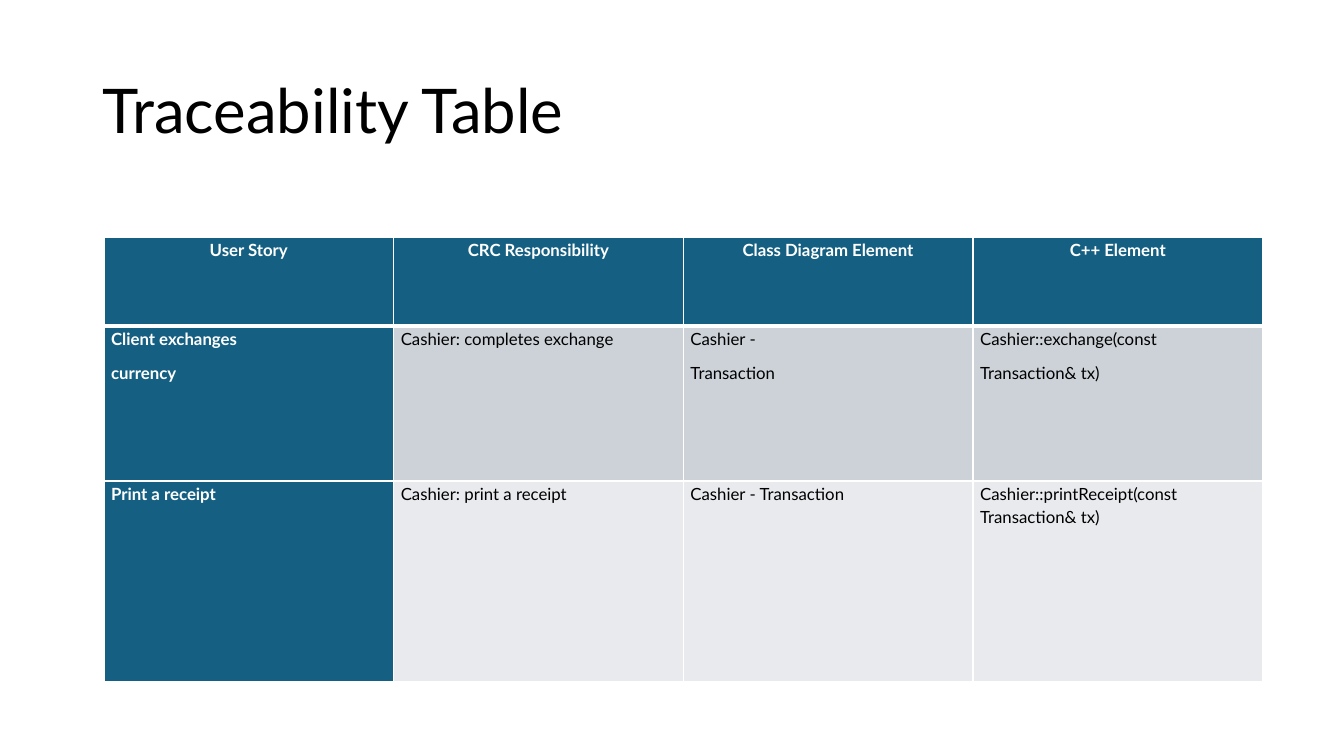
import pptx
import pptx.dml.color
import pptx.enum.text
import pptx.oxml
import pptx.oxml.ns
import pptx.util

Cm = pptx.util.Cm
Pt = pptx.util.Pt
ALIGN = pptx.enum.text.PP_ALIGN

FONT = "Lato"
WHITE = "FFFFFF"
BLACK = "000000"
TEAL = "156082"
BODY_FILLS = ["CCD2D8", "E8EAED"]
COLUMN_WIDTH = 7.3
ROW_HEIGHTS = [2.24, 3.91, 5.05]
ROWS = [
    ["User Story", "CRC Responsibility", "Class Diagram Element", "C++ Element"],
    [
        "Client exchanges\ncurrency",
        "Cashier: completes exchange",
        "Cashier -\nTransaction",
        "Cashier::exchange(const\nTransaction& tx)",
    ],
    [
        "Print a receipt",
        "Cashier: print a receipt",
        "Cashier - Transaction",
        "Cashier::printReceipt(const Transaction& tx)",
    ],
]


def colour(value):
    return pptx.dml.color.RGBColor.from_string(value)


def style_paragraph(para, size, value, bold=False):
    para.font.name = FONT
    para.font.size = Pt(size)
    para.font.bold = bold
    para.font.color.rgb = colour(value)


def add_title(page, text):
    box = page.shapes.add_textbox(Cm(2.34), Cm(1.02), Cm(29.21), Cm(3.68))
    frame = box.text_frame
    frame.word_wrap = True
    frame.vertical_anchor = pptx.enum.text.MSO_ANCHOR.MIDDLE
    frame.text = text
    para = frame.paragraphs[0]
    para.line_spacing = 0.9
    style_paragraph(para, 44, BLACK)


def set_borders(cell, top, bottom):
    properties = cell._tc.get_or_add_tcPr()
    namespace = pptx.oxml.ns.nsdecls("a")
    for side, width in {"L": 1, "R": 1, "T": top, "B": bottom}.items():
        properties.append(pptx.oxml.parse_xml(
            f'<a:ln{side} {namespace} w="{Pt(width)}"><a:solidFill>'
            f'<a:srgbClr val="{WHITE}"/></a:solidFill></a:ln{side}>'
        ))


def fill_cell(cell, text, row, column):
    is_header = row == 0
    is_heading = is_header or column == 0
    set_borders(cell, top=3 if row == 1 else 1, bottom=3 if is_header else 1)
    cell.fill.solid()
    cell.fill.fore_color.rgb = colour(TEAL if is_heading else BODY_FILLS[row - 1])
    cell.margin_left = cell.margin_right = Cm(0.18)
    cell.margin_top = cell.margin_bottom = Cm(0)
    cell.text = text
    for para in cell.text_frame.paragraphs:
        para.alignment = ALIGN.CENTER if is_header else ALIGN.LEFT
        para.line_spacing = 1.15
        para.space_after = Pt(8)
        style_paragraph(para, 12, WHITE if is_heading else BLACK, is_heading)


def add_traceability_table(page):
    column_count = len(ROWS[0])
    frame = page.shapes.add_table(
        len(ROWS), column_count, Cm(2.62), Cm(5.97),
        Cm(COLUMN_WIDTH * column_count), Cm(sum(ROW_HEIGHTS)),
    )
    table = frame.table
    table.first_col = True
    for column in table.columns:
        column.width = Cm(COLUMN_WIDTH)
    for row, (height, texts) in enumerate(zip(ROW_HEIGHTS, ROWS)):
        table.rows[row].height = Cm(height)
        for column, text in enumerate(texts):
            fill_cell(table.cell(row, column), text, row, column)


def main():
    deck = pptx.Presentation()
    deck.slide_width = Cm(33.87)
    deck.slide_height = Cm(19.05)
    page = deck.slides.add_slide(deck.slide_layouts[6])
    add_title(page, "Traceability Table")
    add_traceability_table(page)
    deck.save("out.pptx")


if __name__ == "__main__":
    main()
